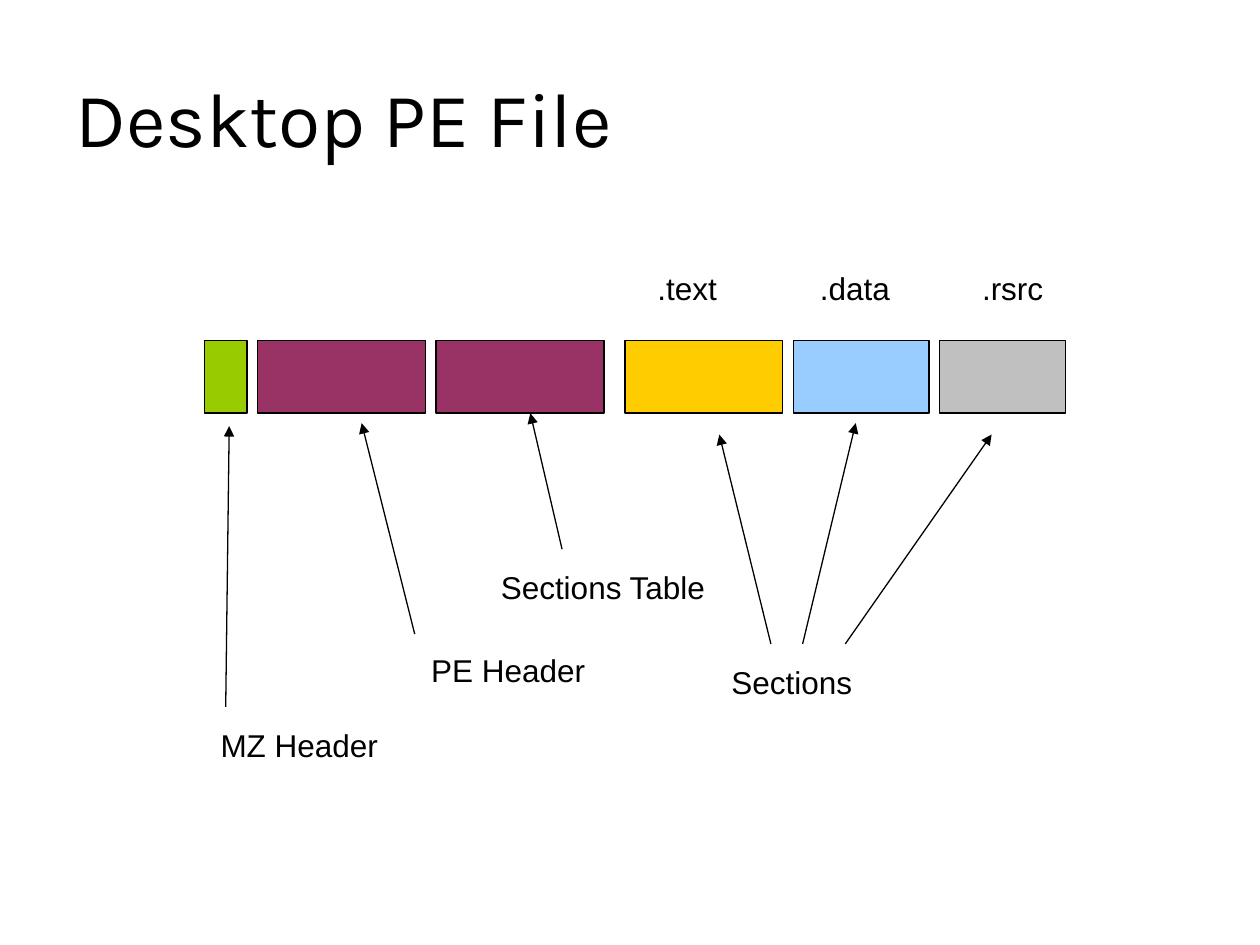
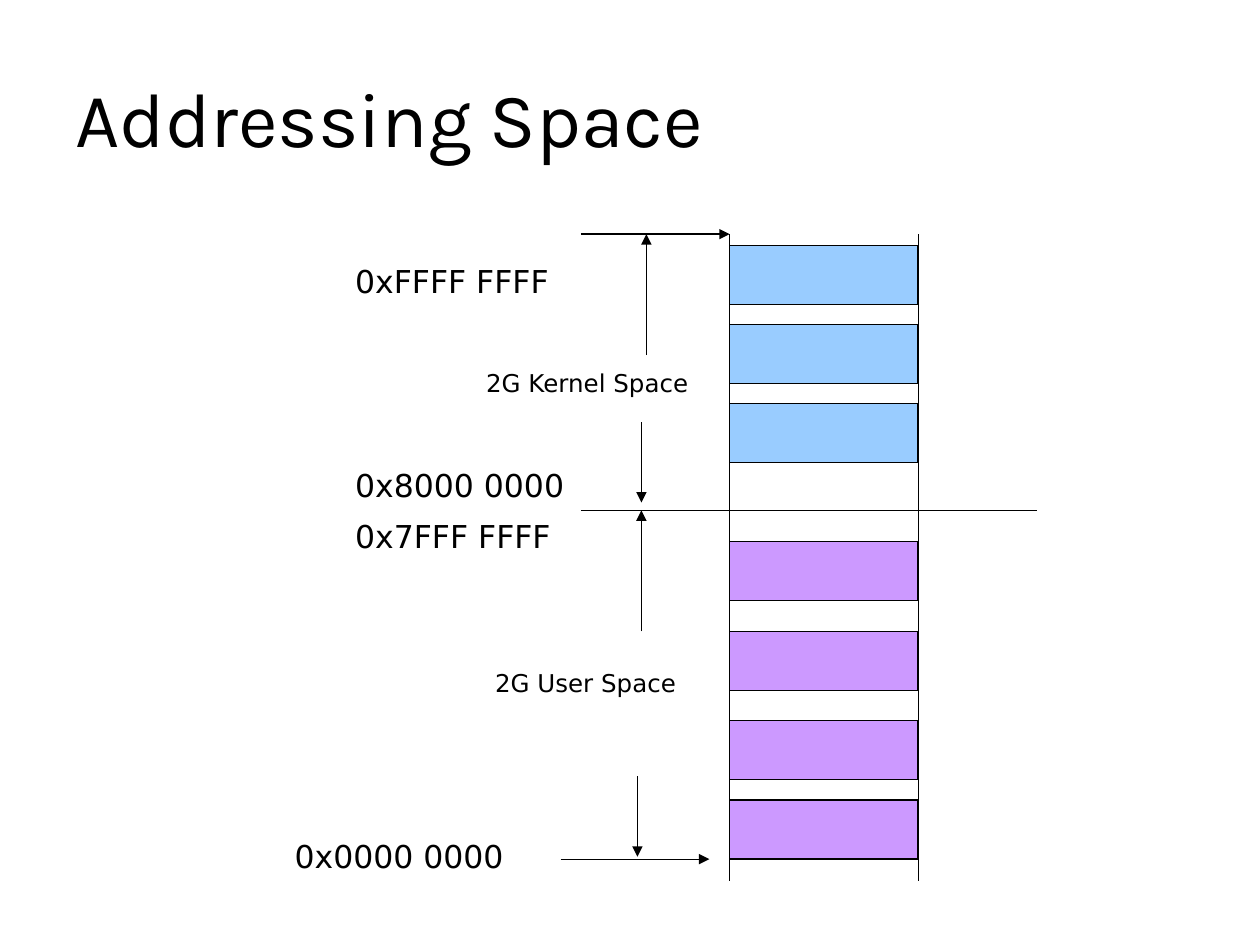
from lxml.etree import SubElement
from pptx import Presentation
from pptx.dml.color import RGBColor
from pptx.enum.shapes import MSO_CONNECTOR as Connector, MSO_SHAPE as Shape
from pptx.enum.text import MSO_ANCHOR as Anchor, PP_ALIGN as Align
from pptx.oxml.ns import qn
from pptx.util import Cm, Pt

COLORS = {
    "ink": "000000",
    "paper": "FFFFFF",
    "mz": "99CC00",
    "header": "993366",
    "code": "FFCC00",
    "data": "99CCFF",
    "resources": "C0C0C0",
    "kernel": "99CCFF",
    "user": "CC99FF",
}
TITLE = {"name": "Karla", "size": Pt(44)}
LABEL = {"name": "Arial", "size": Pt(18)}
ADDRESS = {"name": "DejaVu Sans", "size": Pt(18)}
SPACE = {"name": "DejaVu Sans", "size": Pt(14)}
LINE_WIDTH = Pt(0.75)


def color(name):
    return RGBColor.from_string(COLORS[name])


def set_text(shape, text, font, align=Align.LEFT, anchor=Anchor.TOP, wrap=True):
    frame = shape.text_frame
    frame.word_wrap = wrap
    frame.vertical_anchor = anchor
    para = frame.paragraphs[0]
    para.alignment = align
    span = para.add_run()
    span.text = text
    for attribute, value in font.items():
        setattr(span.font, attribute, value)
    span.font.color.rgb = color("ink")


def add_text(page, text, left, top, width, height, font, **layout):
    box = page.shapes.add_textbox(Cm(left), Cm(top), Cm(width), Cm(height))
    set_text(box, text, font, **layout)


def add_block(page, left, top, width, height, fill, outlined=True):
    block = page.shapes.add_shape(
        Shape.RECTANGLE, Cm(left), Cm(top), Cm(width), Cm(height))
    block.shadow.inherit = False
    block.fill.solid()
    block.fill.fore_color.rgb = color(fill)
    if outlined:
        block.line.color.rgb = color("ink")
        block.line.width = LINE_WIDTH
    else:
        block.line.fill.background()
    return block


def add_label(page, text, left, top, width):
    """Add a white plate with centred text that does not wrap."""
    plate = add_block(page, left, top, width, 1.07, "paper", outlined=False)
    set_text(plate, text, LABEL, Align.CENTER, Anchor.MIDDLE, wrap=False)


def add_line(page, start, end, arrow=True):
    line = page.shapes.add_connector(
        Connector.STRAIGHT, *(Cm(value) for value in (*start, *end)))
    line.line.color.rgb = color("ink")
    line.line.width = LINE_WIDTH
    if arrow:
        SubElement(line.line._get_or_add_ln(), qn("a:tailEnd"), type="triangle")
    SubElement(line._element.spPr, qn("a:effectLst"))


def add_page(deck, title):
    page = deck.slides.add_slide(deck.slide_layouts[6])
    add_text(page, title, 1.27, 0.76, 22.86, 3.18, TITLE, anchor=Anchor.MIDDLE)
    return page


def add_file_page(deck):
    page = add_page(deck, "Desktop PE File")

    gap = 0.21
    left = 4.13
    # Width, fill and number of gaps after each part of the file
    for width, fill, gaps in (
        (0.85, "mz", 1), (3.39, "header", 1), (3.39, "header", 2),
        (3.18, "code", 1), (2.74, "data", 1), (2.54, "resources", 1),
    ):
        add_block(page, left, 6.86, width, 1.47, fill)
        left += width + gaps * gap

    for text, left in ((".text", 12.9), (".data", 16.28), (".rsrc", 19.46)):
        add_label(page, text, left, 5.26, 1.91)
    for text, left, top in (
        ("MZ Header", 3.71, 14.48), ("PE Header", 7.92, 12.98),
        ("Sections Table", 9.83, 11.3), ("Sections", 13.64, 13.21),
    ):
        add_label(page, text, left, top, 4.65)

    for start, end in (
        ((4.55, 14.25), (4.62, 8.59)),
        ((8.36, 12.78), (7.29, 8.53)),
        ((11.33, 11.07), (10.69, 8.33)),
        ((15.54, 12.98), (14.5, 8.76)),
        ((16.18, 12.98), (17.25, 8.53)),
        ((17.04, 12.98), (19.99, 8.76)),
    ):
        add_line(page, start, end)


def add_memory_page(deck):
    page = add_page(deck, "Addressing Space")
    left, width = 14.71, 3.8
    top, border, bottom = 4.72, 10.29, 17.32

    for fill, block_tops in (
        ("kernel", (4.95, 6.54, 8.13)),
        ("user", (10.92, 12.73, 14.53, 16.13)),
    ):
        for block_top in block_tops:
            add_block(page, left, block_top, width, 1.19, fill)
    for rail in (left, left + width):
        add_line(page, (rail, top), (rail, 17.75), arrow=False)

    add_line(page, (11.71, top), (left, top))
    add_line(page, (11.71, border), (20.9, border), arrow=False)
    add_line(page, (11.3, bottom), (14.3, bottom))
    for x, start, end in (
        (13.03, 7.16, top), (12.93, 8.51, 10.13),
        (12.93, 12.73, border), (12.85, 15.65, 17.27),
    ):
        add_line(page, (x, start), (x, end))

    for text, x, y in (
        ("0xFFFF FFFF", 6.91, 5.16), ("0x8000 0000", 6.91, 9.27),
        ("0x7FFF FFFF", 6.91, border), ("0x0000 0000", 5.69, 16.74),
    ):
        add_text(page, text, x, y, 5.21, 1.02, ADDRESS)
    for text, x, y in (
        ("2G Kernel Space", 9.55, 7.29), ("2G User Space", 9.73, 13.34),
    ):
        add_text(page, text, x, y, 4.75, 0.86, SPACE)


def main():
    deck = Presentation()
    deck.slide_width, deck.slide_height = Cm(25.4), Cm(19.05)
    add_file_page(deck)
    add_memory_page(deck)
    deck.save("out.pptx")


if __name__ == "__main__":
    main()
